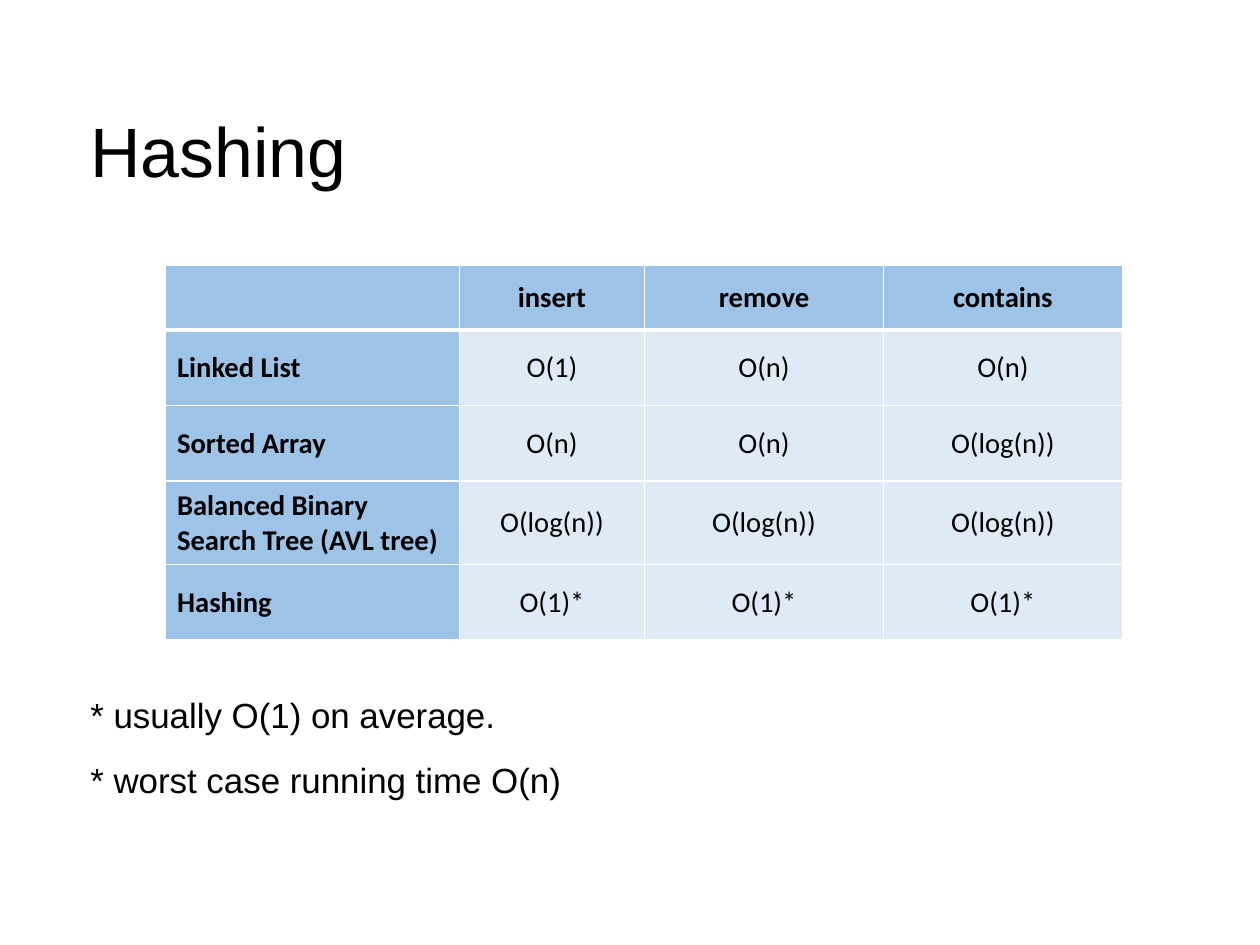
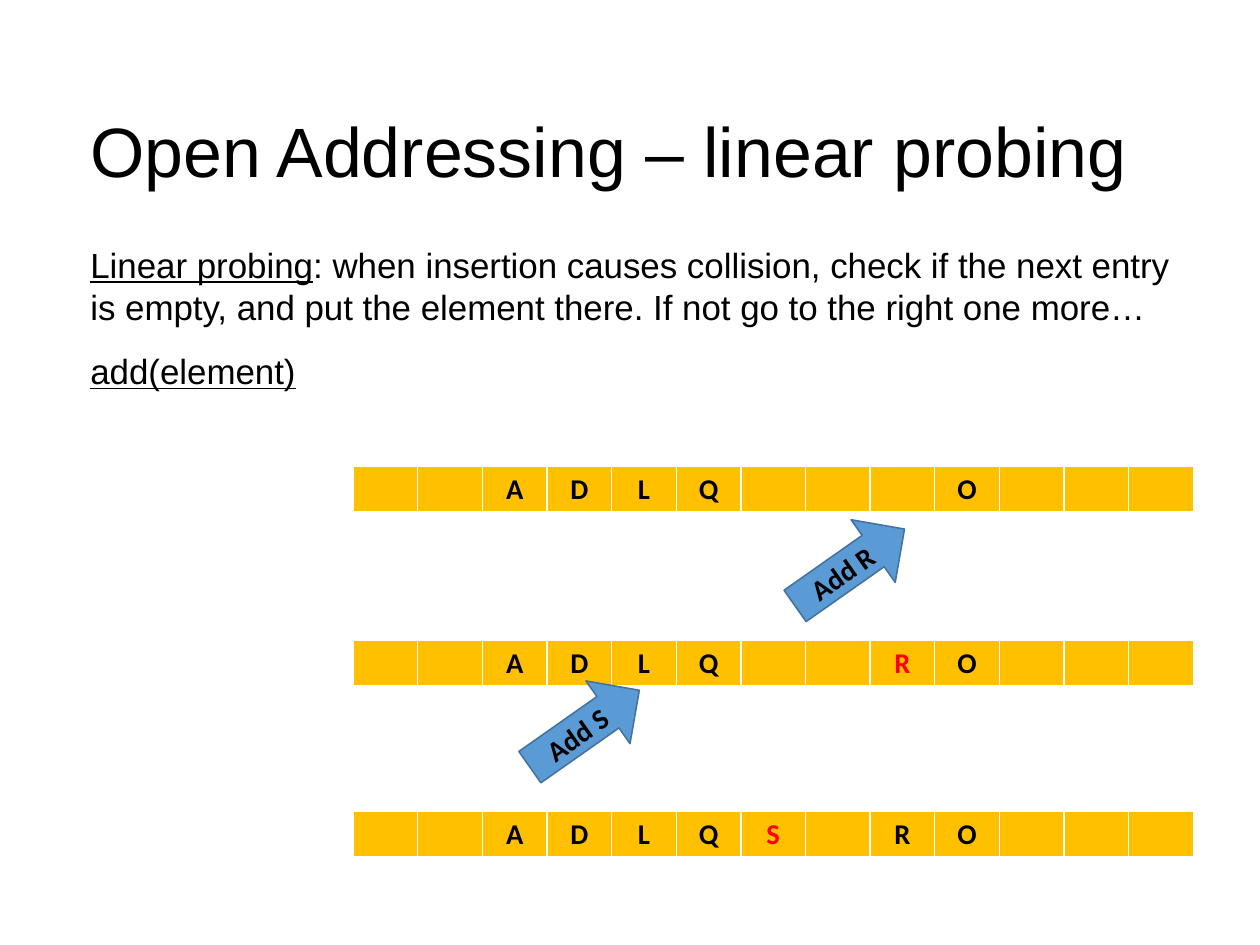
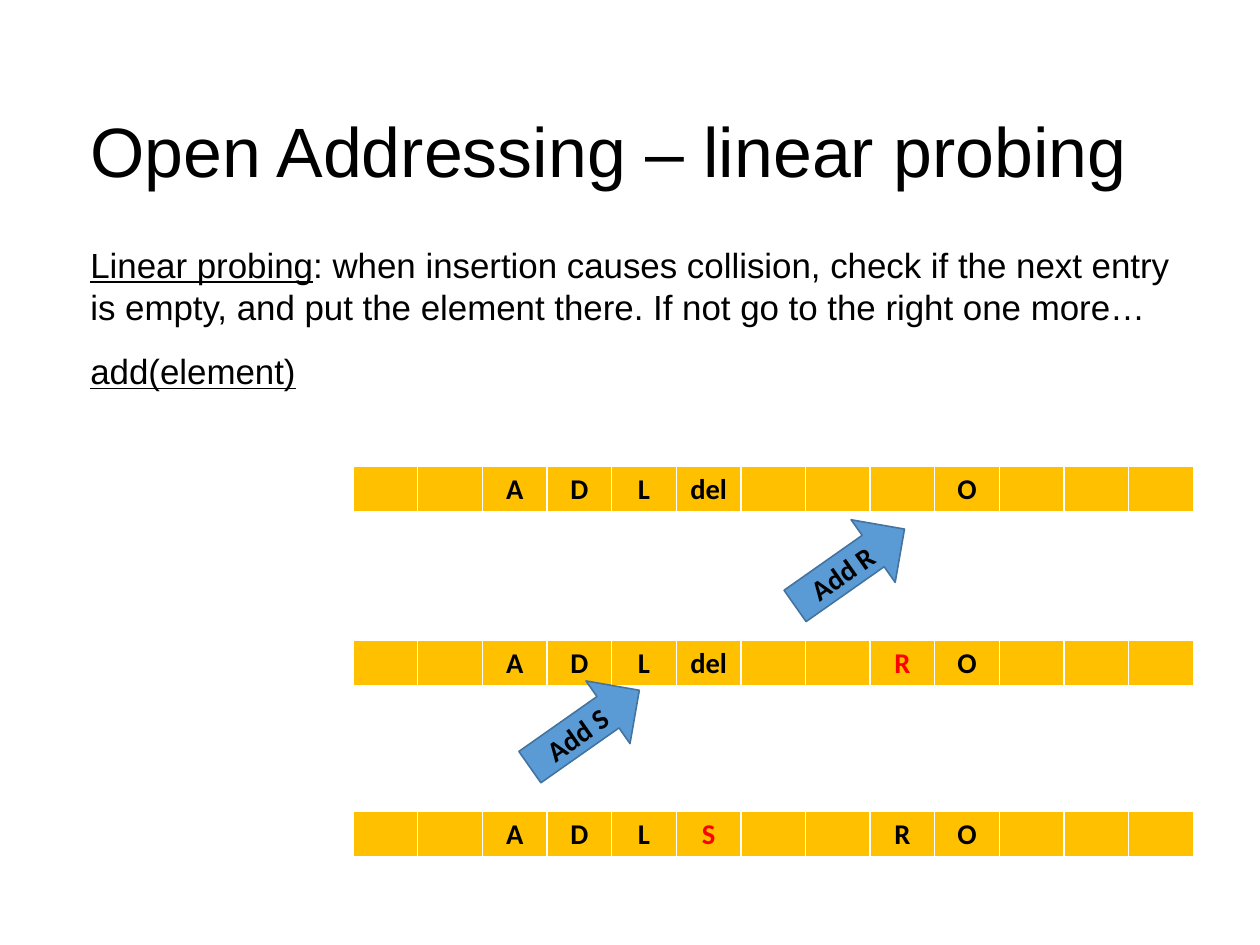
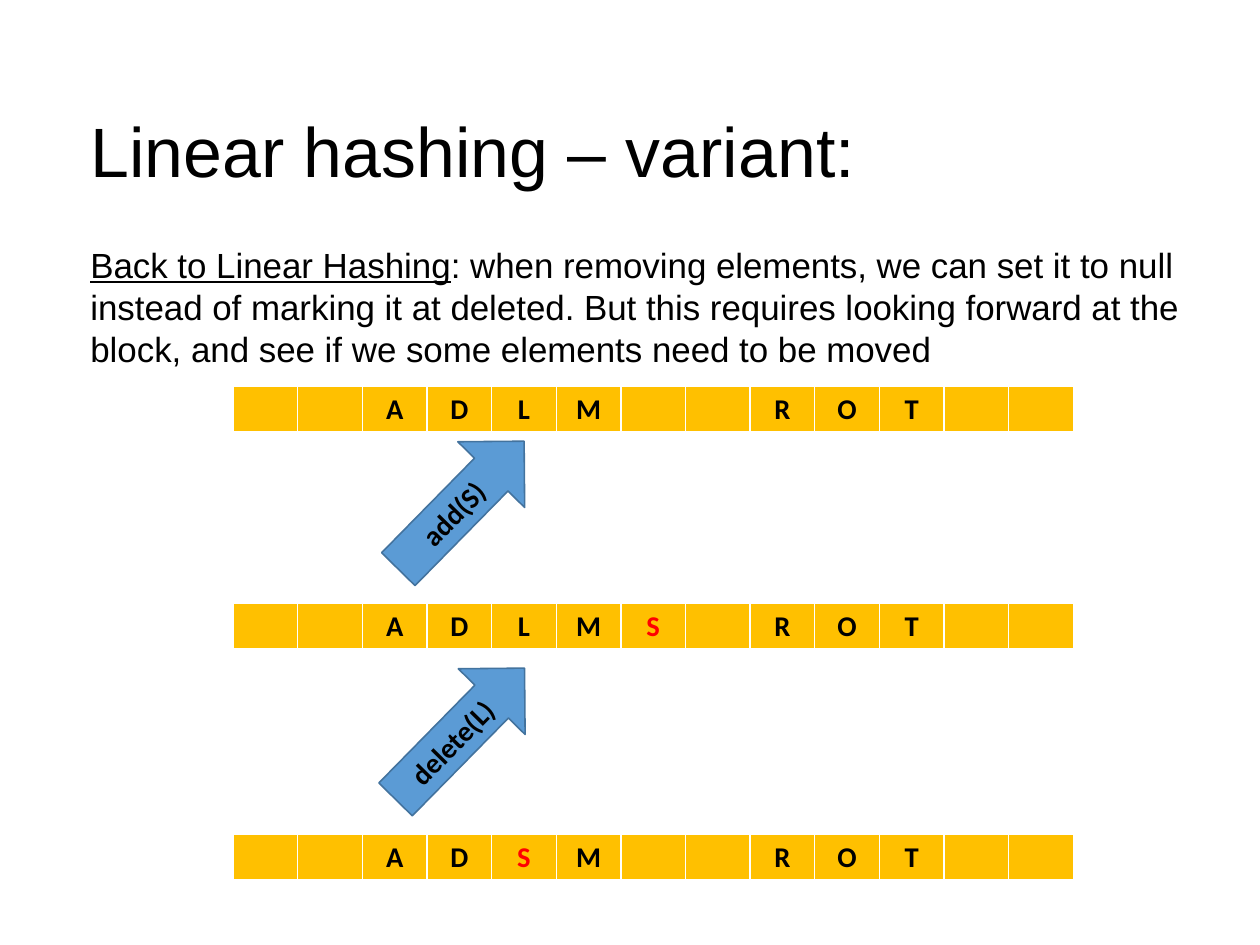
from lxml import etree
from pptx import Presentation
from pptx.dml.color import RGBColor as RGB
from pptx.enum.shapes import MSO_SHAPE as SHAPE
from pptx.enum.text import MSO_ANCHOR as ANCHOR, PP_ALIGN as ALIGN
from pptx.oxml.ns import qn
from pptx.util import Cm, Inches, Pt

COLORS = {
    "text": "000000", "new": "FF0000", "border": "FFFFFF",
    "head": "9DC3E6", "body": "DEEBF7", "slot": "FFC000",
    "arrow": "5B9BD5", "arrow_line": "43739E",
}
BODY_BOTTOM = 7.34


def write(tf, paragraphs, size=18, font="Calibri", color="text", bold=False,
          align=ALIGN.LEFT, anchor=ANCHOR.TOP, margin=None, after=0):
    """Fill a text frame; each paragraph is a pair (underlined lead, plain rest)."""
    tf.word_wrap = True
    tf.vertical_anchor = anchor
    if margin is not None:
        tf.margin_left = tf.margin_right = tf.margin_top = tf.margin_bottom = Inches(margin)
    for i, paragraph in enumerate(paragraphs):
        p = tf.add_paragraph() if i else tf.paragraphs[0]
        p.alignment = align
        p.space_after = Pt(after)
        for text, underline in zip(paragraph, (True, False)):
            if text:
                r = p.add_run()
                r.text = text
                r.font.size = Pt(size)
                r.font.name = font
                r.font.bold = bold
                r.font.underline = underline
                r.font.color.rgb = RGB.from_string(COLORS[color])


def fill_cell(cell, text, fill, top=1, bottom=1, **text_format):
    """Write a cell and give it a fill and white borders of the given widths."""
    tc_pr = cell._tc.get_or_add_tcPr()
    for side, width in (("L", 1), ("R", 1), ("T", top), ("B", bottom)):
        ln = etree.SubElement(tc_pr, qn(f"a:ln{side}"), w=str(Pt(width)))
        solid = etree.SubElement(ln, qn("a:solidFill"))
        etree.SubElement(solid, qn("a:srgbClr"), val=COLORS["border"])
    cell.fill.solid()
    cell.fill.fore_color.rgb = RGB.from_string(COLORS[fill])
    cell.vertical_anchor = text_format.get("anchor", ANCHOR.TOP)
    write(cell.text_frame, [("", text)], **text_format)


probing_text = [
    ("Linear probing", ": when insertion causes collision, check if the next entry is empty, "
                       "and put the element there. If not go to the right one more…"),
    ("add(element)", ""),
]
variant_text = [
    ("Back to Linear Hashing", ": when removing elements, we can set it to null instead of "
                               "marking it at deleted. But this requires looking forward at "
                               "the block, and see if we some elements need to be moved"),
]
probing_title = "Open Addressing – linear probing"
probing_tops = (4.08, 5.6, 7.1)
# Arrow: label, left, top, width, height, rotation
probing_arrows = [("Add R", 6.85, 4.63, 1.17, 0.67, 324.9),
                  ("Add S", 4.53, 6.04, 1.17, 0.67, 324.9)]
variant_arrows = [("add(S)", 3.25, 4.01, 1.57, 0.82, 314.5),
                  ("delete(L)", 3.22, 6.01, 1.61, 0.82, 314.5)]

# In an array "-" is an empty slot; the second item is the entry shown in red
slides = [
    {"title": "Hashing", "text_top": 6.07,
     "text": [("", "* usually O(1) on average."), ("", "* worst case running time O(n)")],
     "costs": [("", "insert", "remove", "contains"),
               ("Linked List", "O(1)", "O(n)", "O(n)"),
               ("Sorted Array", "O(n)", "O(n)", "O(log(n))"),
               ("Balanced Binary Search Tree (AVL tree)",
                "O(log(n))", "O(log(n))", "O(log(n))"),
               ("Hashing", "O(1)*", "O(1)*", "O(1)*")]},
    {"title": probing_title, "text": probing_text, "left": 3.09, "tops": probing_tops,
     "arrays": [("- - A D L Q - - - O - - -", None),
                ("- - A D L Q - - R O - - -", "R"),
                ("- - A D L Q S - R O - - -", "S")],
     "arrows": probing_arrows},
    {"title": probing_title, "text": probing_text, "left": 3.09, "tops": probing_tops,
     "arrays": [("- - A D L del - - - O - - -", None),
                ("- - A D L del - - R O - - -", "R"),
                ("- - A D L S - - R O - - -", "S")],
     "arrows": probing_arrows},
    {"title": "Linear hashing – variant:", "text": variant_text,
     "left": 2.04, "tops": (3.38, 5.28, 7.3),
     "arrays": [("- - A D L M - - R O T - -", None),
                ("- - A D L M S - R O T - -", "S"),
                ("- - A D S M - - R O T - -", "S")],
     "arrows": variant_arrows},
]

prs = Presentation()
prs.slide_width, prs.slide_height = Cm(28), Cm(21)

for content in slides:
    s = prs.slides.add_slide(prs.slide_layouts[6])
    title = s.shapes.add_textbox(Inches(0.79), Inches(0.75), Inches(9.25), Inches(1.12))
    write(title.text_frame, [("", content["title"])], size=44, font="Arial",
          anchor=ANCHOR.MIDDLE, margin=0)
    text_top = content.get("text_top", 2.13)
    body = s.shapes.add_textbox(Inches(0.79), Inches(text_top),
                                Inches(9.68), Inches(BODY_BOTTOM - text_top))
    write(body.text_frame, content["text"], size=22, font="Arial", margin=0, after=14.2)

    if "costs" in content:
        table = s.shapes.add_table(5, 4, Inches(1.45), Inches(2.32),
                                   Inches(8.36), Inches(3.28)).table
        for column, width in zip(table.columns, (2.57, 1.62, 2.09, 2.09)):
            column.width = Inches(width)
        for row, height in zip(table.rows, (0.57, 0.66, 0.66, 0.73, 0.66)):
            row.height = Inches(height)
        for i, texts in enumerate(content["costs"]):
            for j, text in enumerate(texts):
                heading = i == 0 or j == 0
                fill_cell(table.cell(i, j), text, "head" if heading else "body",
                          top=3 if i == 1 else 1, bottom=3 if i == 0 else 1,
                          bold=heading, anchor=ANCHOR.MIDDLE,
                          align=ALIGN.CENTER if j else ALIGN.LEFT)

    for (entries, new), top in zip(content.get("arrays", []), content.get("tops", [])):
        entries = entries.split()
        table = s.shapes.add_table(1, len(entries), Inches(content["left"]), Inches(top),
                                   Inches(7.35), Inches(0.41)).table
        for j, entry in enumerate(entries):
            table.columns[j].width = Inches(7.35 / len(entries))
            fill_cell(table.cell(0, j), "" if entry == "-" else entry, "slot", bottom=3,
                      bold=True, align=ALIGN.CENTER, color="new" if entry == new else "text")

    for label, left, top, width, height, rotation in content.get("arrows", []):
        sp = s.shapes.add_shape(SHAPE.RIGHT_ARROW, Inches(left), Inches(top),
                                Inches(width), Inches(height))
        sp.rotation = rotation
        sp.shadow.inherit = False
        sp.fill.solid()
        sp.fill.fore_color.rgb = RGB.from_string(COLORS["arrow"])
        sp.line.color.rgb = RGB.from_string(COLORS["arrow_line"])
        sp.line.width = Pt(1)
        write(sp.text_frame, [("", label)], bold=True, align=ALIGN.CENTER,
              anchor=ANCHOR.MIDDLE)

prs.save("out.pptx")
